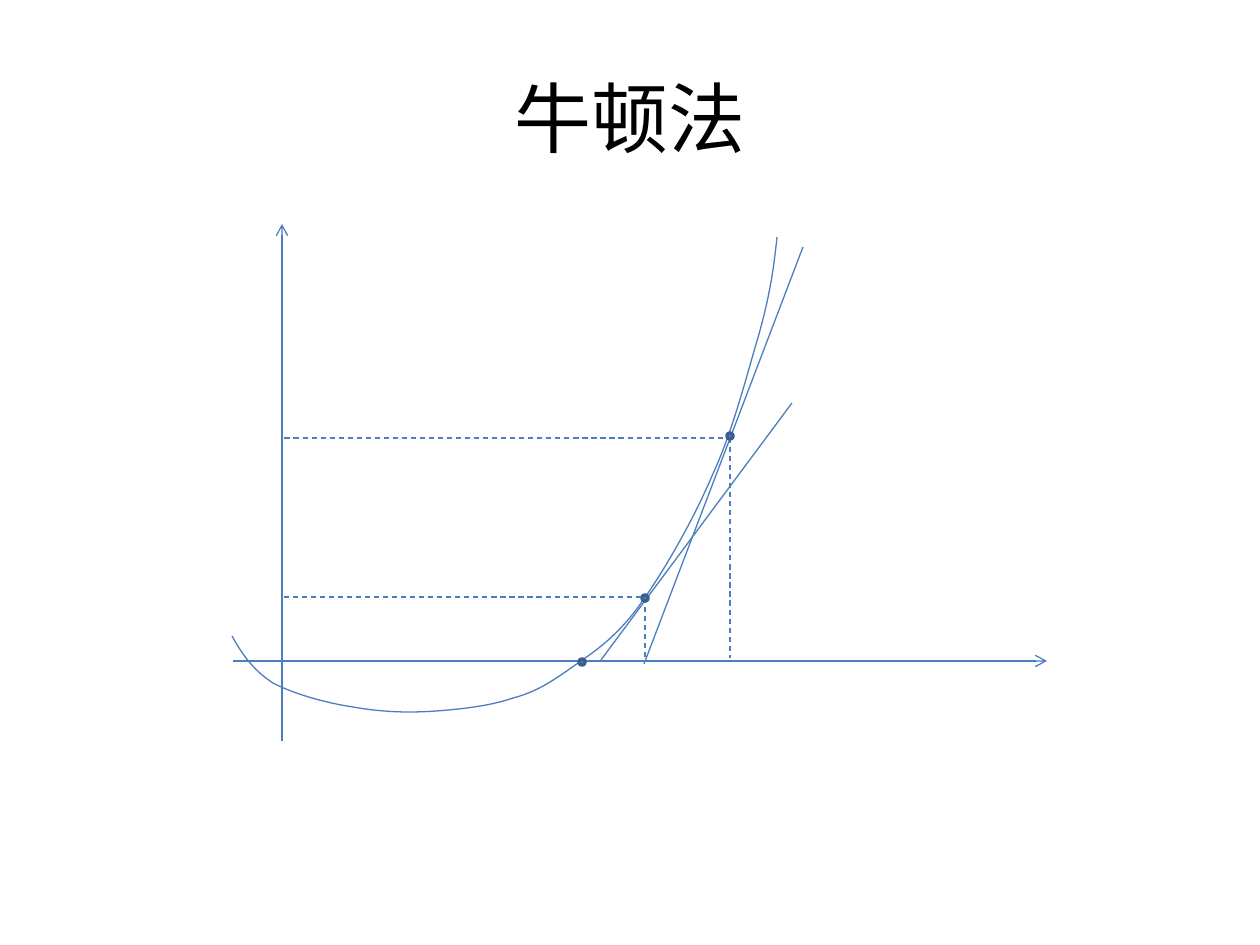
from lxml.etree import SubElement as Sub
from pptx import Presentation
from pptx.dml.color import RGBColor as Rgb
from pptx.enum.dml import MSO_LINE as Dash
from pptx.enum.shapes import MSO_CONNECTOR as Conn, MSO_SHAPE as Shape
from pptx.enum.text import MSO_ANCHOR as Anchor, PP_ALIGN as Align
from pptx.oxml.ns import qn
from pptx.util import Emu, Pt

SCALE = 914400 / 126
COLORS = {"line": "4B7EBC", "dot": "4F81BD", "edge": "3A5F8C", "text": "000000"}


def px(n):
    return Emu(round(n * SCALE))


def color(name):
    return Rgb.from_string(COLORS[name])


def bezier(a, b, c, d, steps=12):
    for i in range(1, steps + 1):
        t = i / steps
        u = 1 - t
        yield tuple(u**3 * p + 3 * u * u * t * q + 3 * u * t * t * r + t**3 * s
                    for p, q, r, s in zip(a, b, c, d))


class Plot:
    """Draws the title and the parts of the graph on one slide."""

    def __init__(self, slide):
        self.slide = slide
        self.group = slide.shapes.add_group_shape().shapes

    def title(self, text, x, y, w, h):
        box = self.slide.shapes.title
        box.left, box.top, box.width, box.height = map(px, (x, y, w, h))
        frame = box.text_frame
        frame.text = text
        frame.vertical_anchor = Anchor.MIDDLE
        par = frame.paragraphs[0]
        par.alignment = Align.CENTER
        par.font.name, par.font.size = "Calibri", Pt(44)
        par.font.color.rgb = color("text")

    def stroke(self, shape, name="line", width=0.75):
        shape.line.color.rgb = color(name)
        shape.line.width = Pt(width)

    def line(self, start, end, dash=False, arrow=False):
        item = self.group.add_connector(Conn.STRAIGHT, *map(px, start + end))
        self.stroke(item)
        if dash:
            item.line.dash_style = Dash.DASH
        if arrow:
            Sub(item.line._get_or_add_ln(), qn("a:tailEnd"), type="arrow")
        Sub(item._element.spPr, qn("a:effectLst"))

    def curve(self, knots):
        points = [p for i in range(0, len(knots) - 1, 3)
                  for p in bezier(*knots[i:i + 4])]
        form = self.group.build_freeform(*map(px, knots[0]))
        form.add_line_segments([(px(x), px(y)) for x, y in points], close=False)
        item = form.convert_to_shape()
        item.shadow.inherit = False
        item.fill.background()
        self.stroke(item)

    def dot(self, x, y, size=6):
        item = self.group.add_shape(
            Shape.OVAL, px(x - size / 2), px(y - size / 2), px(size), px(size))
        item.shadow.inherit = False
        item.fill.solid()
        item.fill.fore_color.rgb = color("dot")
        self.stroke(item, "edge", 2)


def main():
    deck = Presentation()
    deck.slide_width, deck.slide_height = px(1260), px(945)
    plot = Plot(deck.slides.add_slide(deck.slide_layouts[5]))
    plot.title("牛顿法", 63, 38, 1134, 158)

    left, base = 282, 661
    plot.line((233, base), (1047, base), arrow=True)
    plot.line((left, 741), (left, 224), arrow=True)
    plot.curve([
        (232, 636), (242, 654), (253, 670),
        (273, 683), (294, 694), (326, 703),
        (353, 707), (381, 712), (408, 713),
        (436, 711), (462, 709), (490, 706),
        (513, 698), (536, 692), (551, 682),
        (571, 668), (592, 653), (612, 641),
        (636, 610), (660, 578), (692, 523),
        (712, 476), (733, 431), (747, 374),
        (759, 334), (770, 295), (774, 266),
        (777, 237),
    ])
    plot.line((730, 438), (730, 658), dash=True)
    plot.line((803, 247), (644, 664))
    plot.line((645, 598), (645, base), dash=True)
    plot.line((792, 403), (601, 660))
    for spot in ((730, 436), (645, 598), (582, 662)):
        plot.dot(*spot)
    for x, y in ((723, 438), (641, 597)):
        plot.line((x, y), (left, y), dash=True)
    deck.save("out.pptx")


if __name__ == "__main__":
    main()
